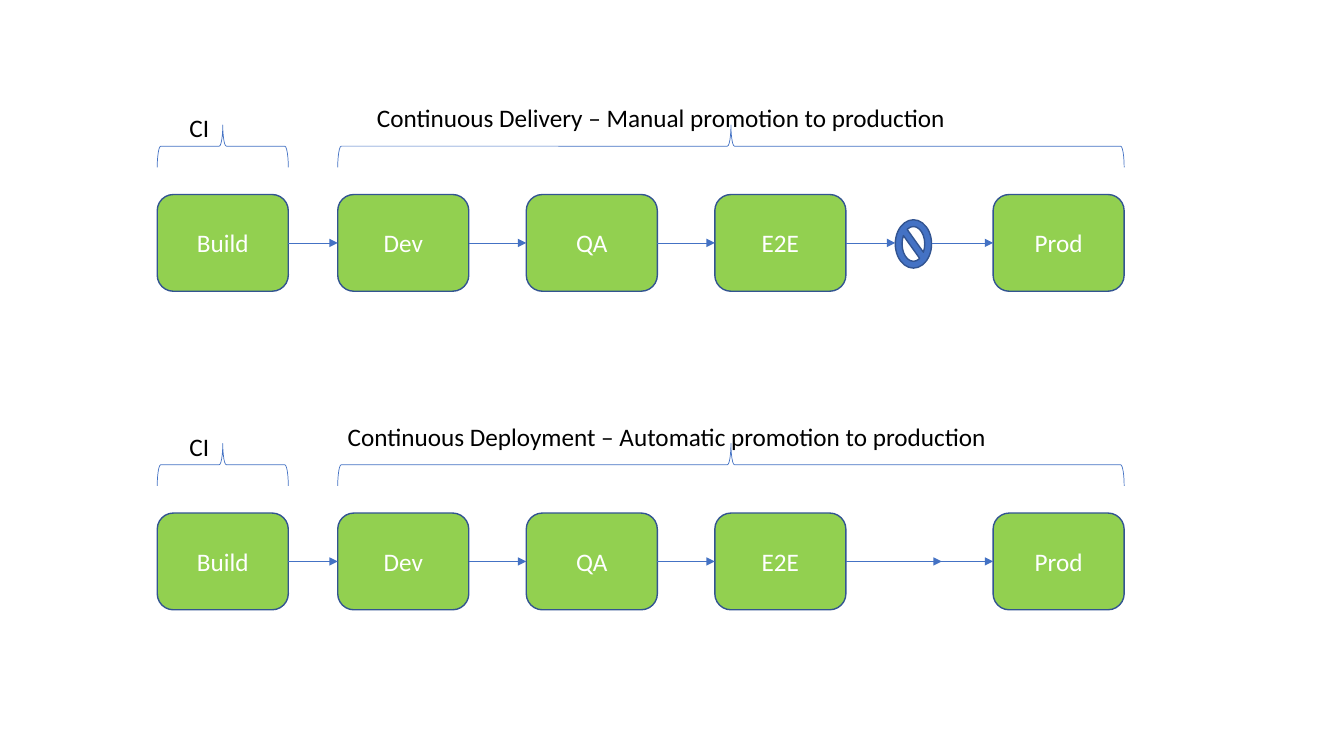
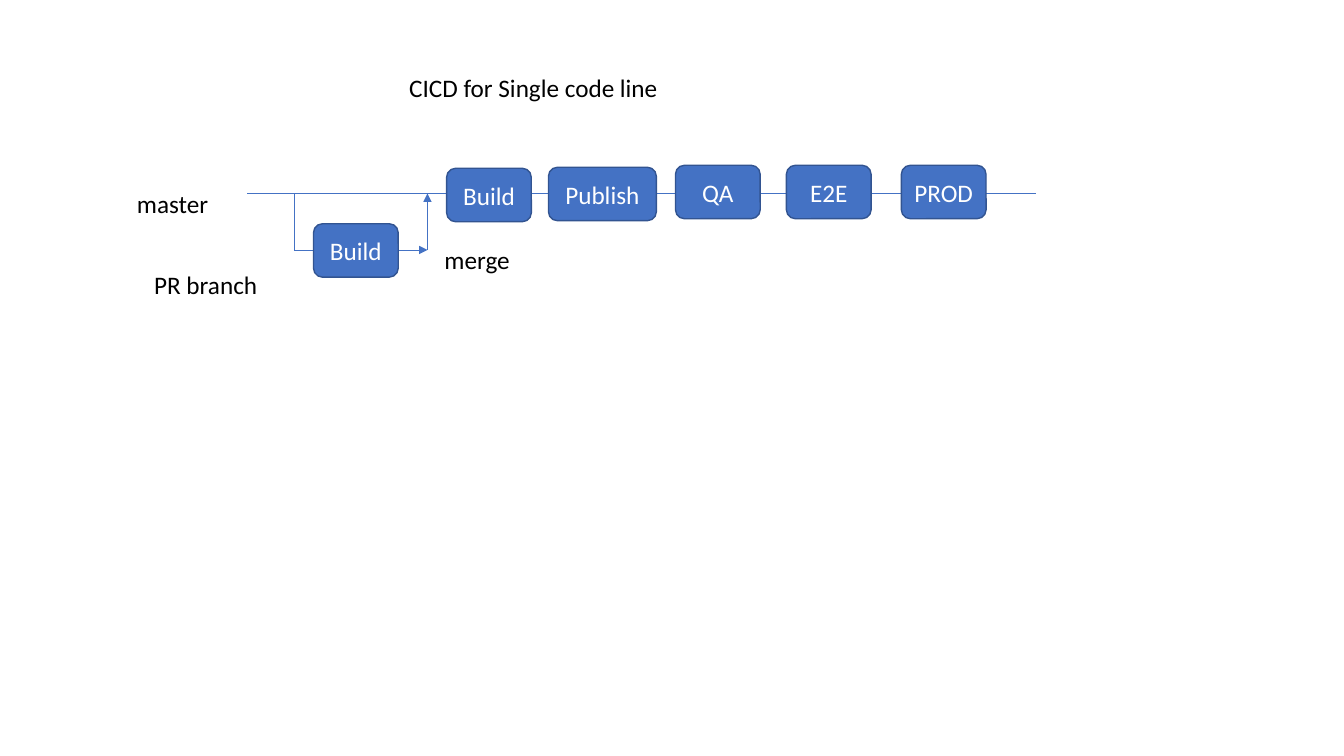
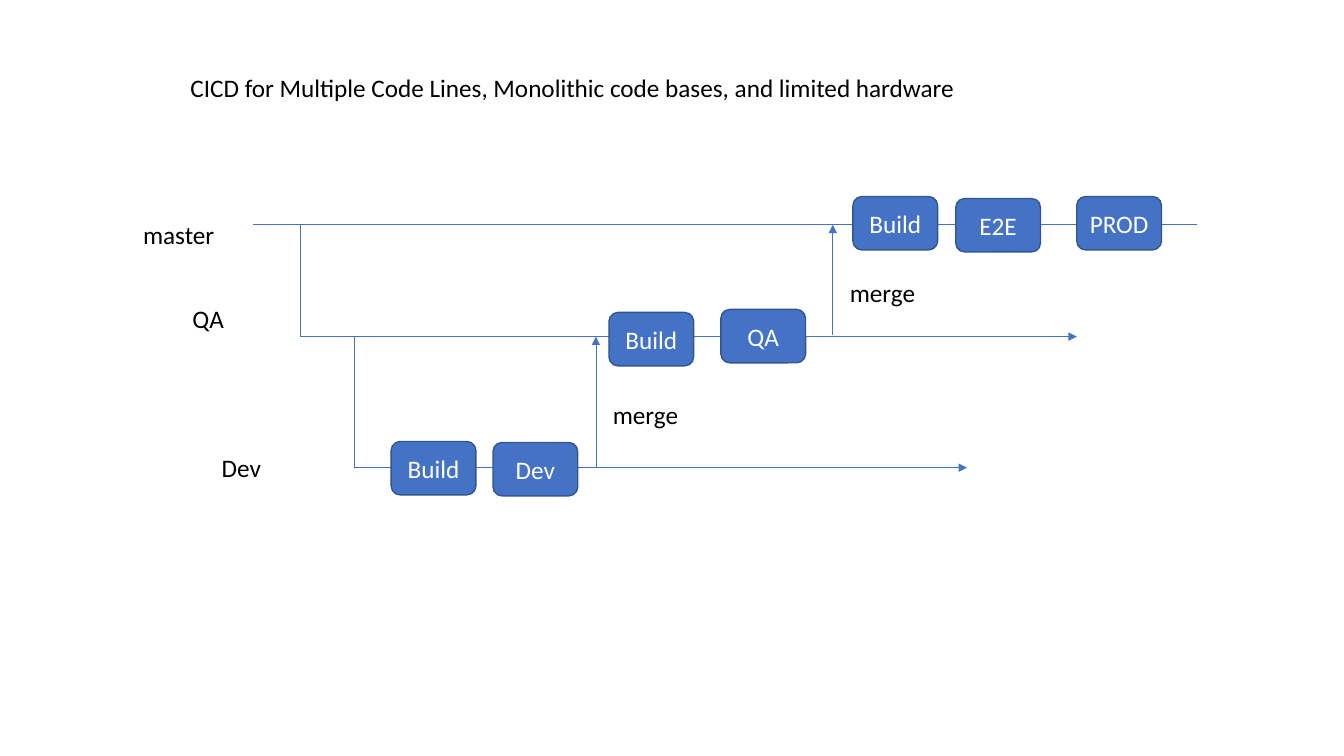
from lxml.etree import SubElement
from pptx import Presentation
from pptx.dml.color import RGBColor
from pptx.enum.shapes import MSO_CONNECTOR, MSO_SHAPE
from pptx.enum.text import MSO_ANCHOR, MSO_AUTO_SIZE, PP_ALIGN
from pptx.oxml.ns import qn
from pptx.util import Inches, Pt

FONT = "Calibri"
SIZE = 18
BLUE = RGBColor(0x44, 0x72, 0xC4)
NAVY = RGBColor(0x32, 0x54, 0x91)
GREEN = RGBColor(0x92, 0xD0, 0x50)
WHITE = RGBColor(0xFF, 0xFF, 0xFF)
BLACK = RGBColor(0, 0, 0)

STEP_W, STEP_H = 1.3, 0.96
STEPS = [("Build", 0), ("Dev", 1.79), ("QA", 3.66), ("E2E", 5.53), ("Prod", 8.29)]
STAGE_W, STAGE_H = 0.84, 0.53
TEXT_H = 0.4


def write(frame, text, color):
    para = frame.paragraphs[0]
    para.text = text
    para.font.name = FONT
    para.font.size = Pt(SIZE)
    para.font.color.rgb = color
    return para


def label(shapes, text, left, top, width):
    box = shapes.add_textbox(Inches(left), Inches(top), Inches(width), Inches(TEXT_H))
    box.text_frame.word_wrap = True
    box.text_frame.auto_size = MSO_AUTO_SIZE.SHAPE_TO_FIT_TEXT
    write(box.text_frame, text, BLACK)


def solid(shapes, kind, left, top, width, height, fill):
    shape = shapes.add_shape(kind, Inches(left), Inches(top), Inches(width), Inches(height))
    shape.shadow.inherit = False
    shape.fill.solid()
    shape.fill.fore_color.rgb = fill
    shape.line.color.rgb = NAVY
    shape.line.width = Pt(1)
    return shape


def block(shapes, text, left, top, width, height, fill):
    shape = solid(shapes, MSO_SHAPE.ROUNDED_RECTANGLE, left, top, width, height, fill)
    shape.text_frame.vertical_anchor = MSO_ANCHOR.MIDDLE
    write(shape.text_frame, text, WHITE).alignment = PP_ALIGN.CENTER
    return shape


def line(shapes, x1, y1, x2, y2, arrow=False):
    link = shapes.add_connector(
        MSO_CONNECTOR.STRAIGHT, Inches(x1), Inches(y1), Inches(x2), Inches(y2))
    link.line.color.rgb = BLUE
    link.line.width = Pt(0.5)
    if arrow:
        SubElement(link.line._get_or_add_ln(), qn("a:tailEnd"), type="triangle")
    SubElement(link._element.spPr, qn("a:effectLst"))
    return link


def brace(shapes, left, top, width):
    depth = 0.42
    shape = shapes.add_shape(
        MSO_SHAPE.RIGHT_BRACE, Inches(left + (width - depth) / 2),
        Inches(top + (depth - width) / 2), Inches(depth), Inches(width))
    shape.rotation = 270
    shape.shadow.inherit = False
    shape.fill.background()
    shape.line.color.rgb = BLUE
    shape.line.width = Pt(0.5)


def pipe(slide, left, top, title, shift, width, gate):
    shapes = slide.shapes.add_group_shape().shapes
    row = top + 0.96
    mid = row + STEP_H / 2
    steps = [block(shapes, text, left + x, row, STEP_W, STEP_H, GREEN) for text, x in STEPS]
    for one, two in zip(steps[:3], steps[1:4]):
        link = line(shapes, left, mid, left + 1, mid, True)
        link.begin_connect(one, 3)
        link.end_connect(two, 1)
    stop = left + (7.32 if gate else 7.78)
    line(shapes, left + 6.83, mid, stop, mid, True).begin_connect(steps[3], 3)
    brace(shapes, left, top + 0.27, STEP_W)
    brace(shapes, left + 1.79, top + 0.27, 7.8)
    if gate:
        solid(shapes, MSO_SHAPE.NO_SYMBOL, left + 7.32, mid - 0.23, 0.36, 0.48, BLUE)
    line(shapes, left + 7.68, mid, left + 8.29, mid, True).end_connect(steps[4], 1)
    label(shapes, "CI", left + 0.22, top + 0.1, 0.47)
    label(shapes, title, left + shift, top, width)


def lane(slide, left, top, width, arrow, name, stages):
    text, x, y, wide = name
    line(slide.shapes, left, top, left + width, top, arrow)
    label(slide.shapes, text, left + x, top + y, wide)
    for text, x, y, wide in stages:
        block(slide.shapes, text, left + x, top + y, wide, STAGE_H, BLUE)


def fork(slide, left, top, height):
    line(slide.shapes, left, top, left, top + height)


def merge(slide, left, top, height, drop):
    line(slide.shapes, left, top + height, left, top, True)
    label(slide.shapes, "merge", left + 0.07, top + drop, 0.95)


def single(slide, left, top):
    label(slide.shapes, "CICD for Single code line", left + 1.51, top - 1.25, 3.41)
    fork(slide, left + 0.47, top, 0.56)
    lane(slide, left, top, 7.83, False, ("master", -1.19, -0.1, 1.08), [
        ("Build", 1.98, -0.25, STAGE_W), ("Publish", 2.99, -0.26, 1.07),
        ("QA", 4.25, -0.28, STAGE_W), ("E2E", 5.35, -0.28, STAGE_W),
        ("PROD", 6.49, -0.28, STAGE_W)])
    lane(slide, left + 0.47, top + 0.56, 1.32, True, ("PR branch", -1.49, 0.14, 1.49), [
        ("Build", 0.19, -0.26, STAGE_W)])
    merge(slide, left + 1.79, top, 0.56, 0.45)


def multi(slide, left, top):
    label(slide.shapes, "CICD for Multiple Code Lines, Monolithic code bases, "
          "and limited hardware", left - 0.72, top - 1.56, 9.82)
    fork(slide, left + 0.47, top, 1.11)
    fork(slide, left + 1, top + 1.11, 1.3)
    lane(slide, left, top, 9.36, False, ("master", -1.19, -0.1, 1.08), [
        ("Build", 5.95, -0.28, STAGE_W), ("E2E", 6.97, -0.26, STAGE_W),
        ("PROD", 8.17, -0.28, STAGE_W)])
    lane(slide, left + 0.47, top + 1.11, 7.7, True, ("QA", -1.17, -0.38, 0.59), [
        ("Build", 3.06, -0.24, STAGE_W), ("QA", 4.17, -0.27, STAGE_W)])
    lane(slide, left + 1, top + 2.41, 6.08, True, ("Dev", -1.41, -0.2, 0.76), [
        ("Build", 0.37, -0.26, STAGE_W), ("Dev", 1.38, -0.25, STAGE_W)])
    merge(slide, left + 5.75, top, 1.09, 0.47)
    merge(slide, left + 3.4, top + 1.11, 1.3, 0.57)


def main():
    deck = Presentation()
    deck.slide_width = Inches(13.33)
    deck.slide_height = Inches(7.5)
    first, second, third = [deck.slides.add_slide(deck.slide_layouts[6]) for _ in range(3)]
    pipe(first, 1.56, 0.97, "Continuous Delivery – Manual promotion to production",
         2.08, 7.37, True)
    pipe(first, 1.56, 4.13, "Continuous Deployment – Automatic promotion to production",
         1.79, 7.8, False)
    single(second, 2.45, 1.92)
    multi(third, 2.51, 2.23)
    deck.save("out.pptx")


if __name__ == "__main__":
    main()
